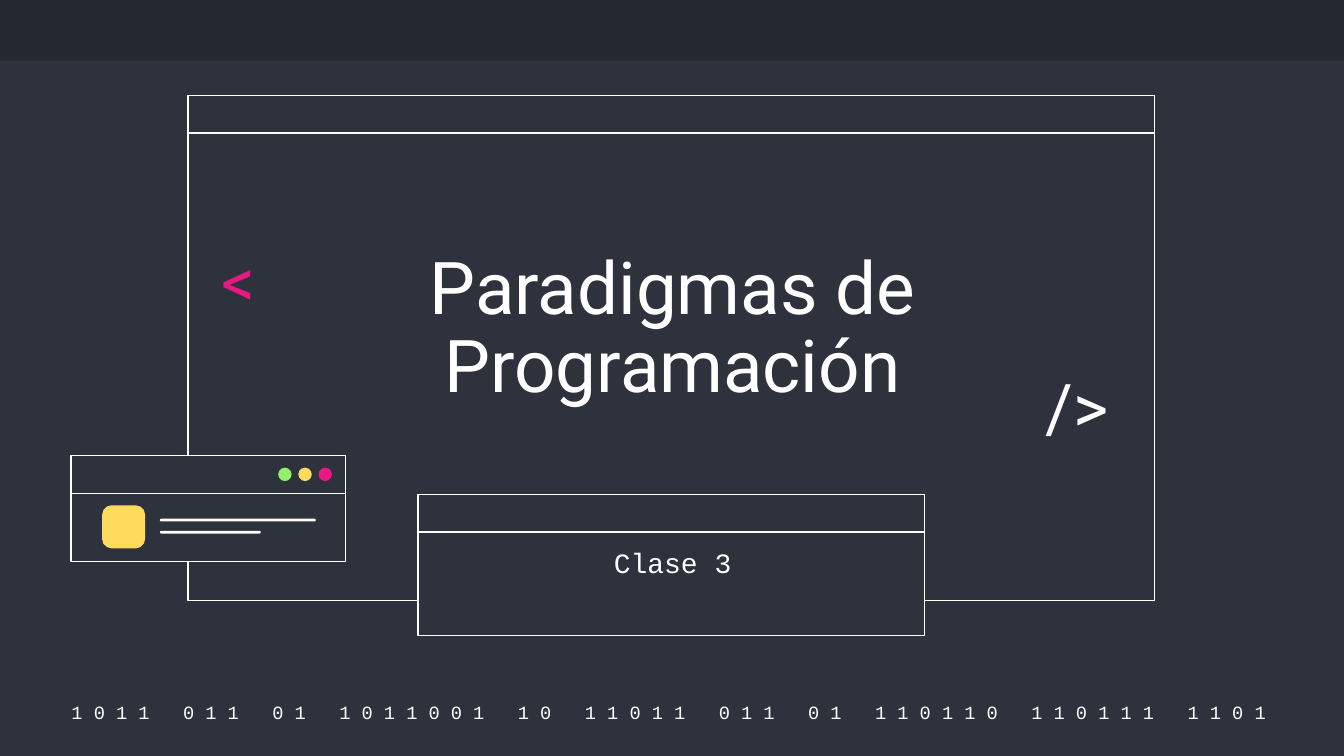
"""Build the title slide of a programming paradigms class."""
from pptx import Presentation
from pptx.dml.color import RGBColor
from pptx.enum.shapes import MSO_SHAPE
from pptx.enum.text import MSO_ANCHOR, MSO_AUTO_SIZE, PP_ALIGN
from pptx.util import Inches, Pt

TITLE = "Paradigmas de Programación"
SUBTITLE = "Clase 3"
BITS = "1011 011 01 1011001 10 11011 011 01 110110 110111 1101"
TAGS = [("<", "pink", (1.55, 1.79, 0.77, 0.66)),
        ("/>", "white", (7.68, 2.73, 0.77, 0.66))]
WINDOWS = [(1.4, 0.71, 7.19, 3.76), (3.11, 3.68, 3.77, 1.05), (0.53, 3.39, 2.04, 0.79)]
DOTS = ["green", "yellow", "pink"]
BARS = [(3.86, 1.16), (3.95, 0.75)]

THEME = {
    "colors": {"back": "2D323C", "band": "242830", "white": "FFFFFF",
               "pink": "E81981", "yellow": "FFDB5D", "green": "94EE6B"},
    "sans": "Roboto", "mono": "Courier New",
    "title": 39, "tag": 36, "subtitle": 15, "bits": 10,
    "line": 0.75, "bar": 0.28,
}


def color(name):
    return RGBColor.from_string(THEME["colors"][name])


def place(sp, box):
    for name, value in zip(("left", "top", "width", "height"), box):
        setattr(sp, name, Inches(value))


def add_box(s, kind, box, fill, line=None):
    sp = s.shapes.add_shape(kind, *map(Inches, box))
    sp.shadow.inherit = False
    sp.fill.solid()
    sp.fill.fore_color.rgb = color(fill)
    if line:
        sp.line.color.rgb = color(line)
        sp.line.width = Pt(THEME["line"])
    else:
        sp.line.fill.background()
    return sp


def add_window(s, box):
    left, top, width, _ = box
    for part in (box, (left, top, width, THEME["bar"])):
        add_box(s, MSO_SHAPE.RECTANGLE, part, "back", "white")


def write(sp, text, size, font, fill="white", anchor=MSO_ANCHOR.MIDDLE, **paragraph):
    tf = sp.text_frame
    frame = {"word_wrap": True, "auto_size": MSO_AUTO_SIZE.NONE, "vertical_anchor": anchor}
    frame |= {f"margin_{side}": Inches(0.1) for side in ("left", "top", "right", "bottom")}
    for name, value in frame.items():
        setattr(tf, name, value)
    p = tf.paragraphs[0]
    for name, value in ({"space_before": Pt(0)} | paragraph).items():
        setattr(p, name, value)
    r = p.add_run()
    r.text = text
    for name, value in {"name": THEME[font], "size": Pt(THEME[size])}.items():
        setattr(r.font, name, value)
    r.font.color.rgb = color(fill)


def add_text(s, box, *args, **paragraph):
    write(s.shapes.add_textbox(*map(Inches, box)), *args, **paragraph)


def fill_placeholder(s, sp, box, *args, **paragraph):
    place(sp, box)
    s.shapes._spTree.append(sp._element)
    write(sp, *args, alignment=PP_ALIGN.CENTER, **paragraph)


def main():
    prs = Presentation()
    prs.slide_width = Inches(10)
    prs.slide_height = prs.slide_width * 9 // 16
    s = prs.slides.add_slide(prs.slide_layouts[0])
    s.background.fill.solid()
    s.background.fill.fore_color.rgb = color("back")
    title, subtitle = s.placeholders

    add_box(s, MSO_SHAPE.RECTANGLE, (0, 0, 10, 0.45), "band")
    add_text(s, (0.38, 5.2, 9.27, 0.2), " ".join(BITS) + " ", "bits", "mono",
             alignment=PP_ALIGN.CENTER)
    for box in WINDOWS:
        add_window(s, box)
    for text, fill, box in TAGS:
        add_text(s, box, text, "tag", "sans", fill, line_spacing=0.9)

    fill_placeholder(s, title, (2.26, 1.82, 5.49, 1.32), TITLE, "title", "sans",
                     anchor=MSO_ANCHOR.BOTTOM, line_spacing=0.9)
    fill_placeholder(s, subtitle, (3.34, 3.96, 3.33, 0.78), SUBTITLE, "subtitle", "mono",
                     anchor=MSO_ANCHOR.TOP)

    icon = add_box(s, MSO_SHAPE.ROUNDED_RECTANGLE, (0.76, 3.76, 0.32, 0.32), "yellow")
    icon.adjustments[0] = 0.22
    for top, width in BARS:
        bar = add_box(s, MSO_SHAPE.ROUNDED_RECTANGLE, (1.19, top, width, 0.02), "white")
        bar.adjustments[0] = 0.5
    for i, fill in enumerate(DOTS):
        add_box(s, MSO_SHAPE.OVAL, (2.07 + 0.15 * i, 3.48, 0.1, 0.1), fill)

    prs.save("out.pptx")


if __name__ == "__main__":
    main()
